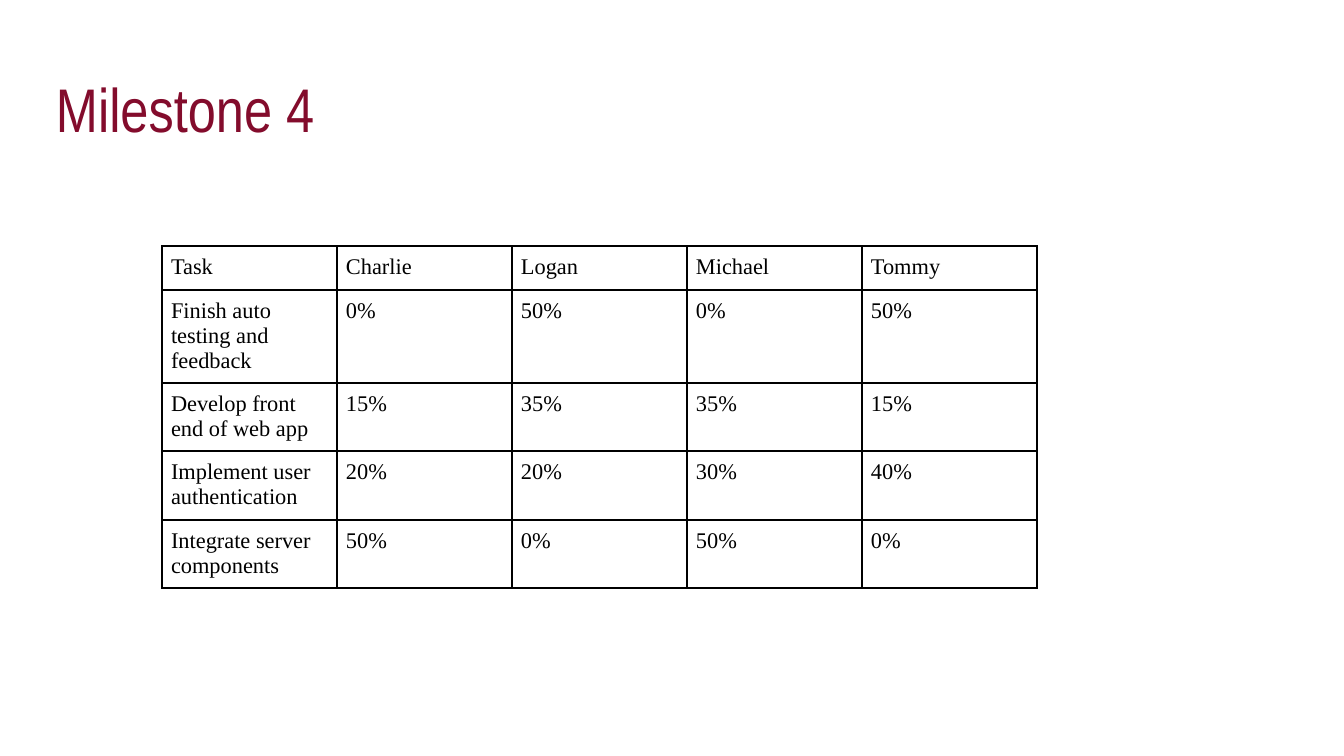
from dataclasses import dataclass

from lxml.etree import SubElement
from pptx import Presentation
from pptx.dml.color import RGBColor
from pptx.enum.text import MSO_ANCHOR, MSO_AUTO_SIZE, PP_ALIGN
from pptx.oxml.ns import qn
from pptx.util import Emu, Pt

PX = 914400 / 134.4


def px(length):
    return Emu(round(length * PX))


@dataclass(frozen=True)
class Theme:
    title_color: str = "830C2C"
    ink: str = "000000"
    title_font: str = "Arial Narrow"
    body_font: str = "Times New Roman"
    title_size: int = 33
    body_size: int = 12
    border_width: int = 1


class SlideBuilder:
    def __init__(self, slide, theme):
        self.slide = slide
        self.theme = theme

    def style_runs(self, paragraph, font, size, color):
        for run in paragraph.runs:
            run.font.name = font
            run.font.size = Pt(size)
            run.font.color.rgb = RGBColor.from_string(color)

    def set_margins(self, target, horizontal, vertical):
        target.margin_left = target.margin_right = px(horizontal)
        target.margin_top = target.margin_bottom = px(vertical)

    def title(self, wording, left, top, width, height):
        heading = self.slide.shapes.title
        heading.left, heading.top = px(left), px(top)
        heading.width, heading.height = px(width), px(height)
        frame = heading.text_frame
        frame.text = wording
        frame.word_wrap = True
        frame.auto_size = MSO_AUTO_SIZE.NONE
        frame.vertical_anchor = MSO_ANCHOR.MIDDLE
        self.set_margins(frame, 9, 5)
        paragraph = frame.paragraphs[0]
        paragraph.alignment = PP_ALIGN.LEFT
        paragraph.line_spacing = 0.9
        self.style_runs(paragraph, self.theme.title_font,
                        self.theme.title_size, self.theme.title_color)

    def border(self, cell):
        # Border lines come before the fill in the cell properties
        properties = cell._tc.get_or_add_tcPr()
        for position, side in enumerate(("a:lnL", "a:lnR", "a:lnT", "a:lnB")):
            line = SubElement(properties, qn(side),
                              w=str(Pt(self.theme.border_width)))
            fill = SubElement(line, qn("a:solidFill"))
            SubElement(fill, qn("a:srgbClr"), val=self.theme.ink)
            properties.insert(position, line)

    def table(self, rows, left, top, column_width, row_heights):
        columns = len(rows[0])
        grid = self.slide.shapes.add_table(
            len(rows), columns, px(left), px(top),
            px(column_width * columns), px(sum(row_heights))).table
        grid.first_row = grid.horz_banding = False
        for column in grid.columns:
            column.width = px(column_width)
        for row, height, values in zip(grid.rows, row_heights, rows):
            row.height = px(height)
            for cell, value in zip(row.cells, values):
                cell.text_frame.text = value
                cell.fill.background()
                self.set_margins(cell, 9, 9)
                self.border(cell)
                self.style_runs(cell.text_frame.paragraphs[0],
                                self.theme.body_font, self.theme.body_size,
                                self.theme.ink)


WORKLOAD = [
    ("Task", "Charlie", "Logan", "Michael", "Tommy"),
    ("Finish auto testing and feedback", "0%", "50%", "0%", "50%"),
    ("Develop front end of web app", "15%", "35%", "35%", "15%"),
    ("Implement user authentication", "20%", "20%", "30%", "40%"),
    ("Integrate server components", "50%", "0%", "50%", "0%"),
]


def main():
    presentation = Presentation()
    presentation.slide_width = px(1344)
    presentation.slide_height = px(756)
    title_only = presentation.slide_layouts[5]
    builder = SlideBuilder(presentation.slides.add_slide(title_only), Theme())

    # Heading
    builder.title("Milestone 4", 47, 40, 1103, 146)

    # Share of each task per team member
    builder.table(WORKLOAD, 162, 246, 175, (44, 93, 68, 69, 68))

    presentation.save("out.pptx")


if __name__ == "__main__":
    main()
